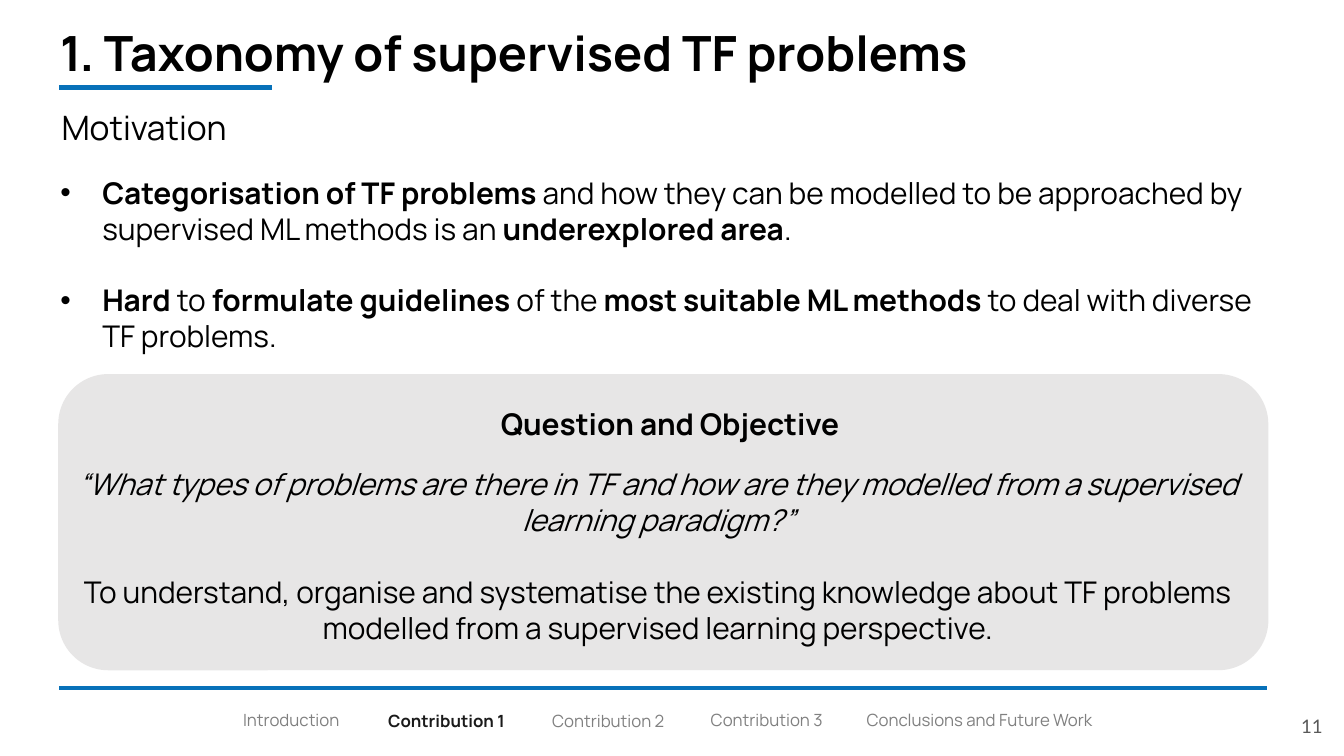
from collections import namedtuple

from lxml import etree
from pptx import Presentation
from pptx.dml.color import RGBColor
from pptx.enum.shapes import MSO_CONNECTOR, MSO_SHAPE
from pptx.enum.text import MSO_ANCHOR, PP_ALIGN
from pptx.oxml.ns import qn
from pptx.util import Pt

STRAIGHT = MSO_CONNECTOR.STRAIGHT
ROUNDED = MSO_SHAPE.ROUNDED_RECTANGLE
TOP, MIDDLE = MSO_ANCHOR.TOP, MSO_ANCHOR.MIDDLE
LEFT, CENTER, RIGHT = PP_ALIGN.LEFT, PP_ALIGN.CENTER, PP_ALIGN.RIGHT

BLACK, GREY, BLUE, PANEL = "000000", "808080", "0771B9", "E7E6E6"
LINE_GAP = 19.2

Box = namedtuple("Box", "left top width height")
Run = namedtuple("Run", "text bold italic", defaults=(False, False))

BULLETS = [
    [
        Run("Categorisation of TF problems ", bold=True),
        Run("and how they can be modelled to be approached by supervised ML methods is an "),
        Run("underexplored area", bold=True),
        Run("."),
    ],
    [
        Run("Hard ", bold=True),
        Run("to "),
        Run("formulate guidelines ", bold=True),
        Run("of the "),
        Run("most suitable ML methods ", bold=True),
        Run("to deal with diverse TF problems."),
    ],
]
QUESTION = [
    [Run("“What types of problems are there in TF and how are they modelled "
         "from a supervised learning paradigm?”", italic=True)],
    [Run("To understand, organise and systematise the existing knowledge about "
         "TF problems modelled from a supervised learning perspective.")],
]
SECTIONS = [
    ("Introduction", 91.4, 8, 72.7),
    ("Contribution 1", 169.2, 8.7, 79.2),
    ("Contribution 2", 257, 8.7, 74.9),
    ("Contribution 3", 342, 8, 74.9),
    ("Conclusions and Future Work", 425.5, 8, 142.6),
]


def color(value):
    return RGBColor.from_string(value)


def add_bullet(paragraph, indent):
    properties = paragraph._p.get_or_add_pPr()
    properties.set("marL", str(Pt(indent)))
    properties.set("indent", str(-Pt(indent)))
    bullet_font = etree.SubElement(properties, qn("a:buFont"))
    bullet_font.set("typeface", "Arial")
    etree.SubElement(properties, qn("a:buChar")).set("char", "•")


def add_text(slide, box, paragraphs, size=16, font="Manrope", ink=BLACK, align=LEFT,
             anchor=TOP, inset=3.6, gap=0, bullet_indent=0, wrap=True):
    shape = slide.shapes.add_textbox(*map(Pt, box))
    frame = shape.text_frame
    frame.word_wrap = wrap
    frame.vertical_anchor = anchor
    frame.margin_top = frame.margin_bottom = Pt(inset)
    for index, runs in enumerate(paragraphs):
        paragraph = frame.paragraphs[0] if index == 0 else frame.add_paragraph()
        paragraph.alignment = align
        if index and gap:
            paragraph.space_before = Pt(gap)
        if bullet_indent:
            add_bullet(paragraph, bullet_indent)
        for part in runs:
            run = paragraph.add_run()
            run.text = part.text
            run.font.name = font
            run.font.size = Pt(size)
            run.font.bold = part.bold
            run.font.italic = part.italic
            run.font.color.rgb = color(ink)


def add_rule(slide, left, top, width):
    rule = slide.shapes.add_connector(STRAIGHT, Pt(left), Pt(top), Pt(left + width), Pt(top))
    rule.line.color.rgb = color(BLUE)
    rule.line.width = Pt(2.5)
    etree.SubElement(rule._element.spPr, qn("a:effectLst"))


def add_header(slide, box):
    title = [[Run("1. Taxonomy of supervised TF problems", bold=True)]]
    add_text(slide, Box(box.left - 6.5, box.top, box.width, 42.5), title, size=26, inset=7.2)
    add_rule(slide, box.left, box.top + 41.8, 113.8)
    add_text(slide, Box(box.left - 5.8, box.top + 49, box.width, 28.8),
             [[Run("Motivation")]], size=18)


def add_motivation(slide, box):
    add_text(slide, box, BULLETS, gap=LINE_GAP, bullet_indent=22.5)


def add_question(slide, box):
    panel = slide.shapes.add_shape(ROUNDED, *map(Pt, box))
    panel.shadow.inherit = False
    panel.fill.solid()
    panel.fill.fore_color.rgb = color(PANEL)
    panel.line.color.rgb = color(PANEL)
    panel.line.width = Pt(1)
    add_text(slide, Box(box.left + 229, box.top + 13, 196.6, 26.6),
             [[Run("Question and Objective", bold=True)]], align=CENTER, wrap=False)
    add_text(slide, Box(box.left - 0.7, box.top + 45.3, box.width - 4.3, 104.4),
             QUESTION, align=CENTER, gap=LINE_GAP)


def add_footer(slide, box, current, number):
    add_rule(slide, box.left, box.top, box.width)
    for name, left, top, width in SECTIONS:
        active = name == current
        add_text(slide, Box(box.left + left, box.top + top, width, 18),
                 [[Run(name, bold=active)]], size=9, ink="1A1A1A" if active else GREY)
    add_text(slide, Box(box.left + box.width - 6.5, box.top + 5, 43.2, 31),
             [[Run(number)]], size=10, font="Lato", ink="595959",
             align=RIGHT, anchor=MIDDLE, inset=7.2)


def main():
    presentation = Presentation()
    presentation.slide_width = Pt(720)
    presentation.slide_height = Pt(405)
    slide = presentation.slides.add_slide(presentation.slide_layouts[6])
    add_header(slide, Box(31.7, 5, 690, 78))
    add_motivation(slide, Box(25.2, 90, 654.5, 104.4))
    add_question(slide, Box(31.7, 200.9, 647.3, 157.7))
    add_footer(slide, Box(31.7, 368.6, 647.3, 36), "Contribution 1", "11")
    presentation.save("out.pptx")


if __name__ == "__main__":
    main()
